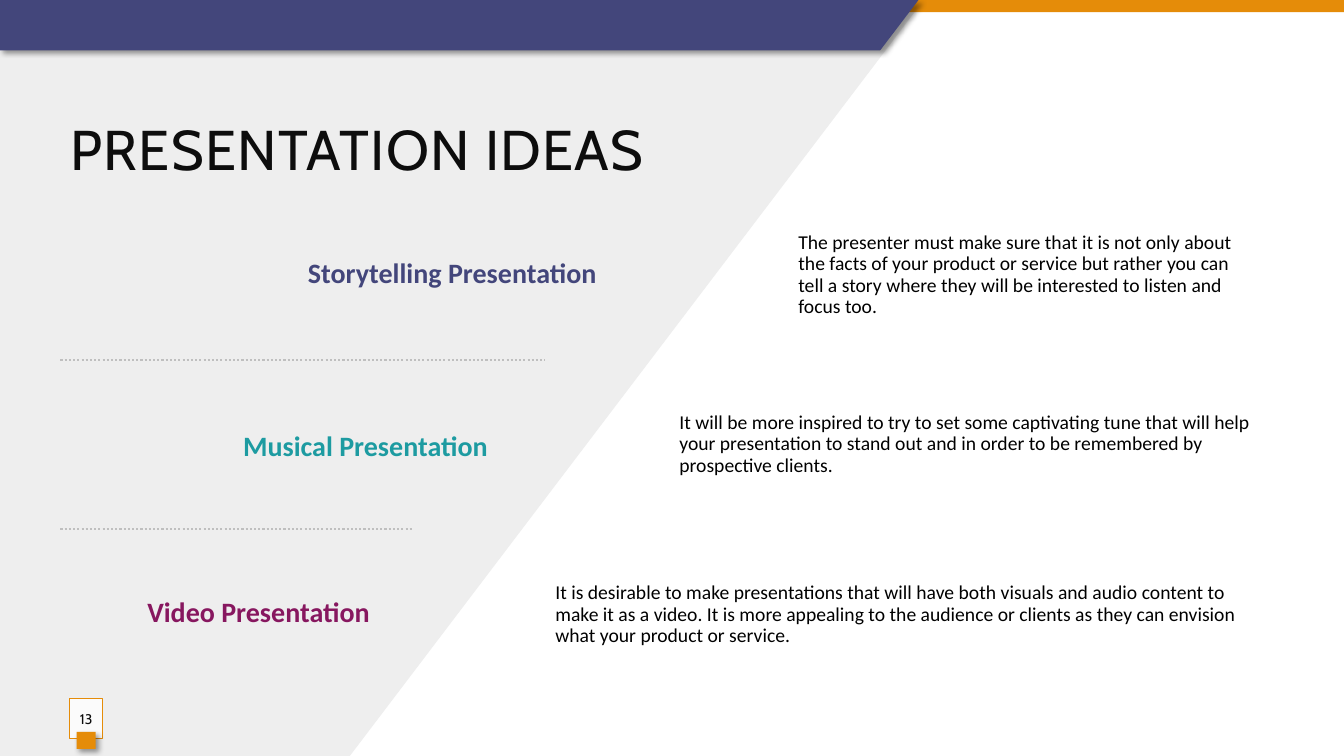
from lxml import etree
from pptx import Presentation, util as u
from pptx.dml import color
from pptx.enum import dml, shapes, text
from pptx.oxml import ns

PX = 9144
INK, INDIGO, TEAL, PLUM, ORANGE = "0D0D0D", "43467B", "1D9BA1", "87175F", "E58C09"


def paint(value):
    return color.RGBColor.from_string(value)


def write(box, words, align, spacing, margins, font):
    frame = box.text_frame
    layout = {"word_wrap": True, "auto_size": text.MSO_AUTO_SIZE.NONE,
              "vertical_anchor": text.MSO_ANCHOR.MIDDLE}
    layout.update(zip(("margin_left", "margin_top", "margin_right", "margin_bottom"),
                      [side * PX for side in margins]))
    for name, value in layout.items():
        setattr(frame, name, value)
    para = frame.paragraphs[0]
    para.alignment, para.line_spacing = align, spacing
    span = para.add_run()
    span.text = words
    for name, value in font.items():
        if name == "color":
            span.font.color.rgb = paint(value)
        else:
            setattr(span.font, name, value)
    return span


deck = Presentation()
deck.slide_width, deck.slide_height = 1333 * PX, 750 * PX
page = deck.slides.add_slide(deck.slide_layouts[5])
LEFT, CENTER, RIGHT = text.PP_ALIGN.LEFT, text.PP_ALIGN.CENTER, text.PP_ALIGN.RIGHT
INSET = (10, 5, 10, 5)

panel = [(0, 0), (911, 0), (911, 7), (347, 750), (0, 750)]
top_bar = [(0, 0), (1333, 0), (1333, 12), (0, 12)]
banner = [(0, 0), (911, 0), (873, 50), (0, 50)]
tab = [(76, 726), (95, 726), (95, 743), (76, 743)]
number = [(69, 693), (102, 693), (102, 733), (69, 733)]

for points, fill, shadowed in (
    (panel, "EEEEEE", False),
    (top_bar, ORANGE, False),
    (banner, INDIGO, True),
    (number, "FFFFFF", False),
    (tab, ORANGE, True),
):
    (left, top), (right, bottom) = points[0], points[2]
    if points in (panel, banner):
        builder = page.shapes.build_freeform(*points[0], scale=PX)
        builder.add_line_segments(points[1:], close=True)
        block = builder.convert_to_shape()
    else:
        block = page.shapes.add_shape(shapes.MSO_SHAPE.RECTANGLE, left * PX, top * PX,
                                      (right - left) * PX, (bottom - top) * PX)
    block.fill.solid()
    block.fill.fore_color.rgb = paint(fill)
    block.line.fill.background()
    block.shadow.inherit = False
    if shadowed:
        effects = block.element.spPr.find(ns.qn("a:effectLst"))
        shadow = etree.SubElement(effects, ns.qn("a:outerShdw"), blurRad=str(u.Pt(4)),
                                  dist=str(u.Pt(3)), dir="2700000", algn="tl", rotWithShape="0")
        tone = etree.SubElement(shadow, ns.qn("a:srgbClr"), val="000000")
        etree.SubElement(tone, ns.qn("a:alpha"), val="40000")
    if points is number:
        block.line.color.rgb = paint(ORANGE)
        block.line.width = u.Pt(0.75)
        tone = block.element.spPr.find(ns.qn("a:solidFill"))[0]
        etree.SubElement(tone, ns.qn("a:alpha"), val="82000")
        write(block, "13", CENTER, 1.0, (0, 5, 0, 5),
              {"name": "Cabin", "size": u.Pt(10), "color": INK})

title = page.shapes.title
title.left, title.top, title.width, title.height = [v * PX for v in (60, 108, 1182, 77)]
span = write(title, "PRESENTATION IDEAS", LEFT, 1.0, INSET,
             {"name": "Cabin", "size": u.Pt(40), "color": INK})
span.font._element.set("spc", "100")
page.shapes._spTree.append(title.element)

ideas = (
    ("Storytelling Presentation ", INDIGO, (68, 249, 540, 46), (782, 223, 472, 100),
     "The presenter must make sure that it is not only about the facts of your product or service "
     "but rather you can tell a story where they will be interested to listen and focus too."),
    ("Musical Presentation ", TEAL, (60, 421, 440, 46), (664, 391, 590, 100),
     "It will be more inspired to try to set some captivating tune that will help your presentation "
     "to stand out and in order to be remembered by prospective clients."),
    ("Video Presentation ", PLUM, (60, 586, 323, 46), (541, 560, 712, 100),
     "It is desirable to make presentations that will have both visuals and audio content to make it "
     "as a video. It is more appealing to the audience or clients as they can envision what your "
     "product or service."),
)
for heading, hue, heading_area, detail_area, detail in ideas:
    for area, words, align, font in (
        (heading_area, heading, RIGHT, {"size": u.Pt(20), "bold": True, "color": hue}),
        (detail_area, detail, LEFT, {"size": u.Pt(14), "color": "000000"}),
    ):
        box = page.shapes.add_textbox(*[v * PX for v in area])
        write(box, words, align, 0.9, INSET, {"name": "Calibri", **font})

for end, height in ((540, 357), (410, 525)):
    divider = page.shapes.add_connector(shapes.MSO_CONNECTOR.STRAIGHT,
                                        *[v * PX for v in (60, height, end, height)])
    divider.line.color.rgb = paint("BFBFBF")
    divider.line.width = u.Pt(1.5)
    divider.line.dash_style = dml.MSO_LINE.ROUND_DOT
    etree.SubElement(divider.element.spPr, ns.qn("a:effectLst"))

deck.save("out.pptx")
